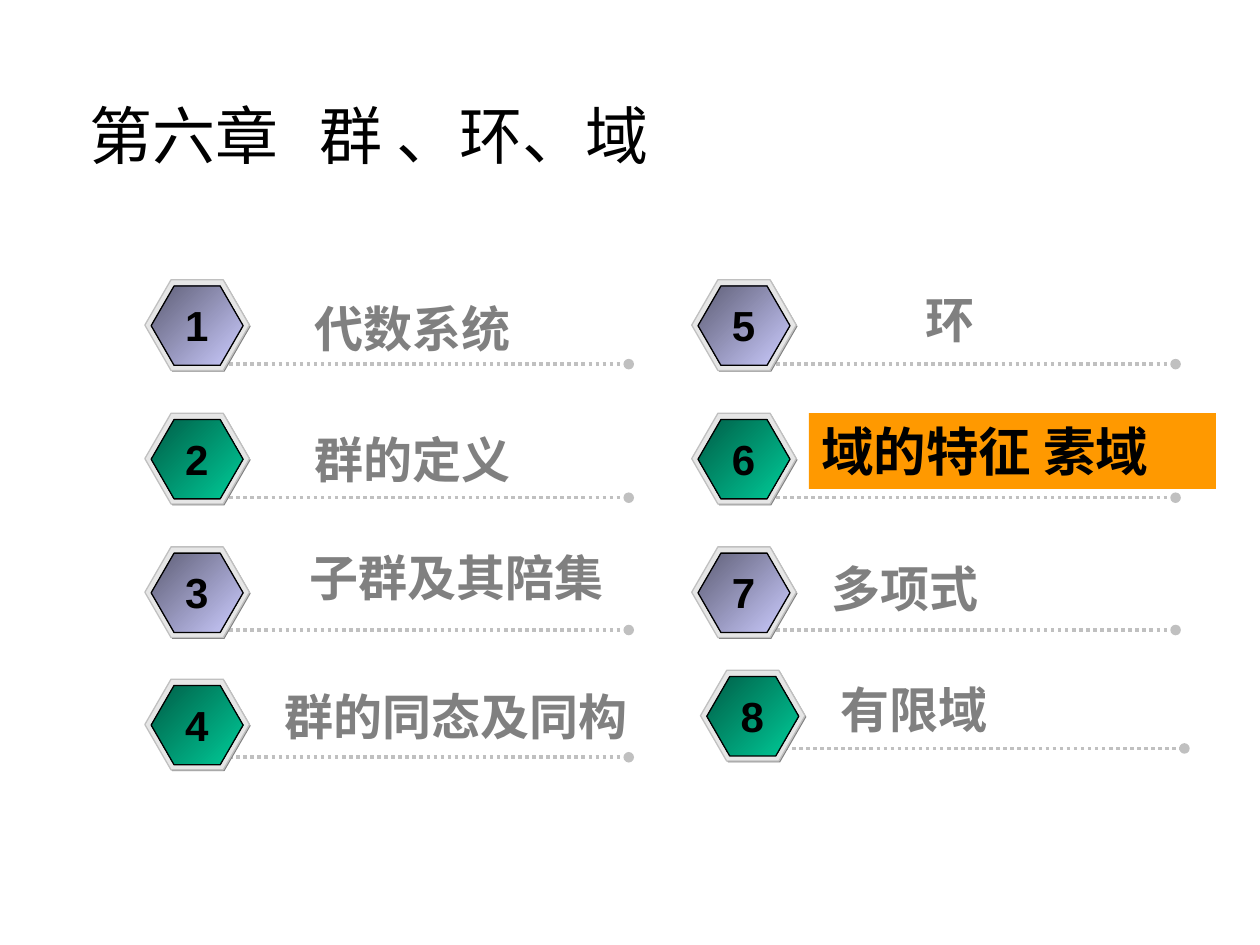
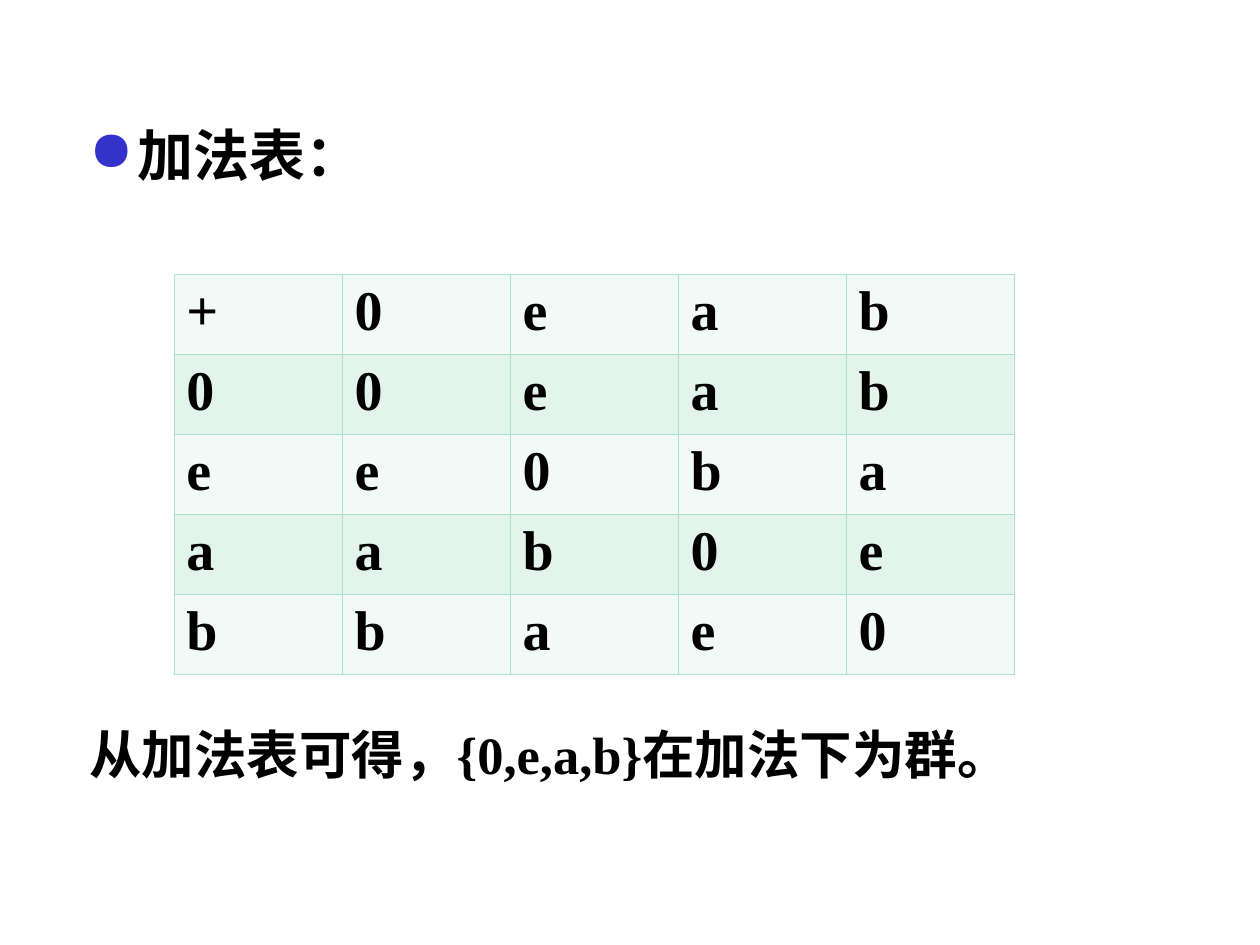
"""Build two slides: a chapter outline with hexagon markers and an addition table."""
from lxml.etree import SubElement
from pptx import Presentation
from pptx.dml.color import RGBColor
from pptx.enum.dml import MSO_LINE as Dash
from pptx.enum.shapes import MSO_CONNECTOR as Connector, MSO_SHAPE as Shape
from pptx.enum.text import MSO_ANCHOR as Anchor, PP_ALIGN as Align
from pptx.oxml import parse_xml
from pptx.oxml.ns import nsdecls, qn
from pptx.util import Pt

PX = 9144
CJK, SERIF, SANS = "Noto Sans CJK SC", "Times New Roman", "Arial"
BLACK, WHITE, GREY, SILVER, PALE = "000000", "FFFFFF", "808080", "C0C0C0", "E6E6E6"
ORANGE, BLUE, MINT = "FF9900", "3333CC", "AAE2CA"
LAVENDER, GREEN = ("5E5E76", "CCCCFF"), ("005E47", "00CC99")
ROW_FILLS = ("F1FAF6", "E2F4EC")


def colour(value):
    return RGBColor.from_string(value)


def write(para, text, size=28, font=CJK, ink=BLACK, bold=True, align=Align.LEFT):
    para.alignment = align
    span = para.add_run()
    span.text = text
    span.font.size = Pt(size)
    span.font.bold = bold
    span.font.color.rgb = colour(ink)
    span.font.name = font
    latin = span.font._element.find(qn("a:latin"))
    latin.addnext(parse_xml(f'<a:ea {nsdecls("a")} typeface="{CJK}"/>'))


deck = Presentation()
deck.slide_width, deck.slide_height = 1000 * PX, 750 * PX
blank = deck.slide_layouts[6]

page = deck.slides.add_slide(blank)
box = page.shapes.add_textbox(61 * PX, 58 * PX, 877 * PX, 97 * PX)
box.text_frame.word_wrap = True
box.text_frame.vertical_anchor = Anchor.MIDDLE
para = box.text_frame.paragraphs[0]
tabs = SubElement(para._p.get_or_add_pPr(), qn("a:tabLst"))
SubElement(tabs, qn("a:tab"), pos=str(183 * PX), algn="l")
write(para, "第六章\t群 、环、域", size=36, bold=False)

highlight = {"size": 30, "ink": BLACK}
centred = {"align": Align.CENTER}
chapters = [
    (115, 222, 289, "代数系统", (240, 232, 183, 57), None, {}),
    (115, 328, 395, "群的定义", (240, 336, 213, 57), None, {}),
    (115, 434, 500, "子群及其陪集", (201, 430, 323, 57), WHITE, centred),
    (115, 539, 601, "群的同态及同构", (216, 540, 299, 57), None, {}),
    (549, 222, 289, "环", (650, 225, 208, 57), None, centred),
    (549, 328, 395, "域的特征 素域", (642, 328, 323, 60), ORANGE, highlight),
    (549, 434, 500, "多项式", (650, 438, 291, 57), None, {}),
    (556, 532, 594, "有限域", (657, 534, 299, 57), None, {}),
]
for number, (left, top, rule_top, label, place, fill, style) in enumerate(chapters, 1):
    rule = page.shapes.add_connector(
        Connector.STRAIGHT, (left + 67) * PX, rule_top * PX, (left + 384) * PX, rule_top * PX)
    rule.line.color.rgb = colour(SILVER)
    rule.line.width = Pt(2)
    rule.line.dash_style = Dash.ROUND_DOT
    SubElement(rule.line._get_or_add_ln(), qn("a:tailEnd"), type="oval")
    SubElement(rule._element.spPr, qn("a:effectLst"))

    marker = page.shapes.add_group_shape()
    face = LAVENDER if number % 2 else GREEN
    for offset, width, height, paint, edge in (
            (1, 83, 72, GREY, None), (0, 83, 72, PALE, SILVER), (5, 73, 63, face, BLACK)):
        hexagon = marker.shapes.add_shape(
            Shape.HEXAGON, (left + offset) * PX, (top + offset) * PX, width * PX, height * PX)
        hexagon.adjustments[0], hexagon.adjustments[1] = 0.289, 1.155
        hexagon.shadow.inherit = False
        if paint == face:
            hexagon.fill.gradient()
            hexagon.fill.gradient_angle = 315
            for stop, shade in zip(hexagon.fill.gradient_stops, face):
                stop.color.rgb = colour(shade)
        else:
            hexagon.fill.solid()
            hexagon.fill.fore_color.rgb = colour(paint)
        if edge:
            hexagon.line.color.rgb = colour(edge)
            hexagon.line.width = Pt(0.75)
        else:
            hexagon.line.fill.background()

    box = page.shapes.add_textbox((left + 22) * PX, (top + 11) * PX, 38 * PX, 50 * PX)
    box.text_frame.word_wrap = False
    write(box.text_frame.paragraphs[0], str(number), size=24, font=SANS, align=Align.CENTER)

    box = page.shapes.add_textbox(*[length * PX for length in place])
    box.text_frame.word_wrap = True
    if fill:
        box.fill.solid()
        box.fill.fore_color.rgb = colour(fill)
    write(box.text_frame.paragraphs[0], label, **{"ink": GREY, **style})

page = deck.slides.add_slide(blank)
box = page.shapes.add_textbox(61 * PX, 91 * PX, 908 * PX, 570 * PX)
box.text_frame.word_wrap = True
heading = box.text_frame.paragraphs[0]
props = heading._p.get_or_add_pPr()
props.set("marL", str(38 * PX))
props.set("indent", str(-38 * PX))
SubElement(SubElement(props, qn("a:buClr")), qn("a:srgbClr"), val=BLUE)
SubElement(props, qn("a:buChar"), char="●")
write(heading, "加法表：", size=32)
conclusion = box.text_frame.add_paragraph()
conclusion.space_before = Pt(305)
write(conclusion, "从加法表可得，{0,e,a,b}在加法下为群。", size=30, font=SERIF)

sums = ["+0eab", "00eab", "ee0ba", "aab0e", "bbae0"]
table = page.shapes.add_table(5, 5, 138 * PX, 218 * PX, 667 * PX, 317 * PX).table
table.first_row = table.horz_banding = False
for row, symbols in enumerate(sums):
    for column, symbol in enumerate(symbols):
        cell = table.cell(row, column)
        for side in ("lnL", "lnR", "lnT", "lnB"):
            border = SubElement(cell._tc.get_or_add_tcPr(), qn(f"a:{side}"), w=str(Pt(0.45)))
            SubElement(SubElement(border, qn("a:solidFill")), qn("a:srgbClr"), val=MINT)
        cell.fill.solid()
        cell.fill.fore_color.rgb = colour(ROW_FILLS[row % 2])
        write(cell.text_frame.paragraphs[0], symbol, size=32, font=SERIF)

deck.save("out.pptx")
